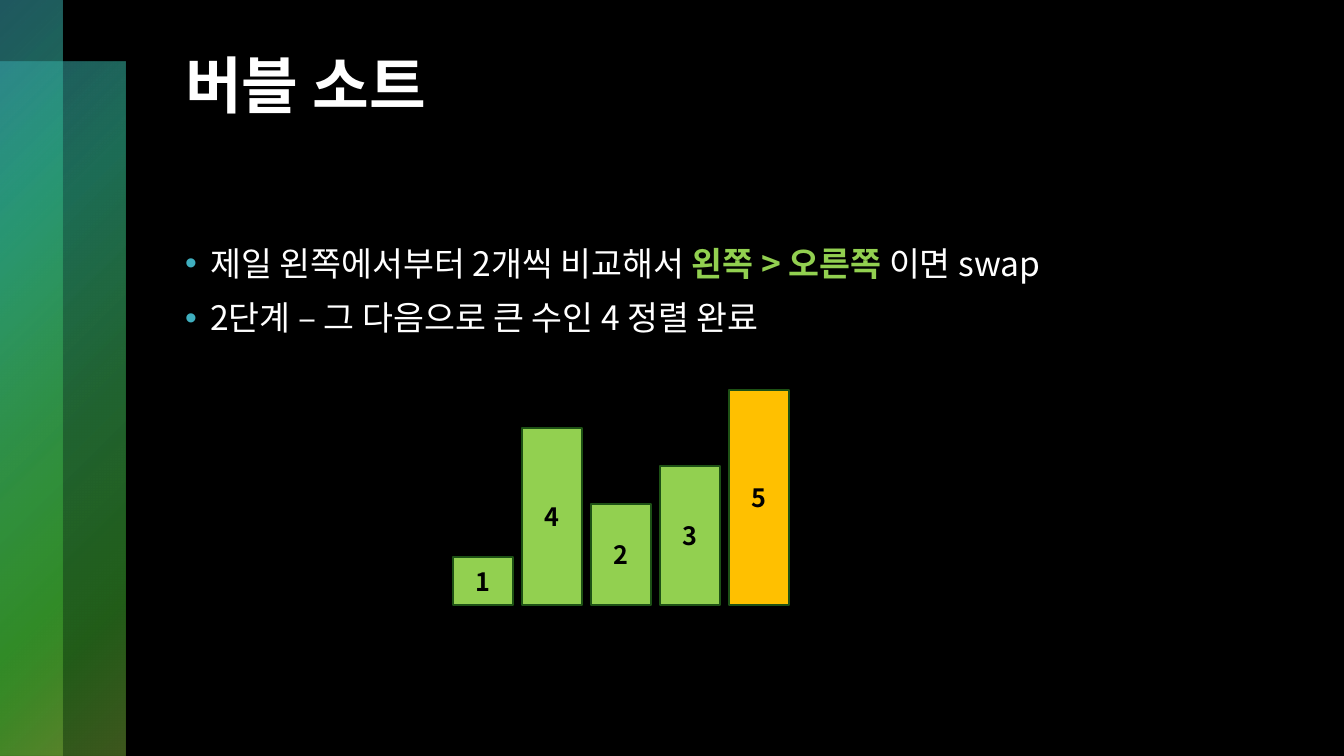
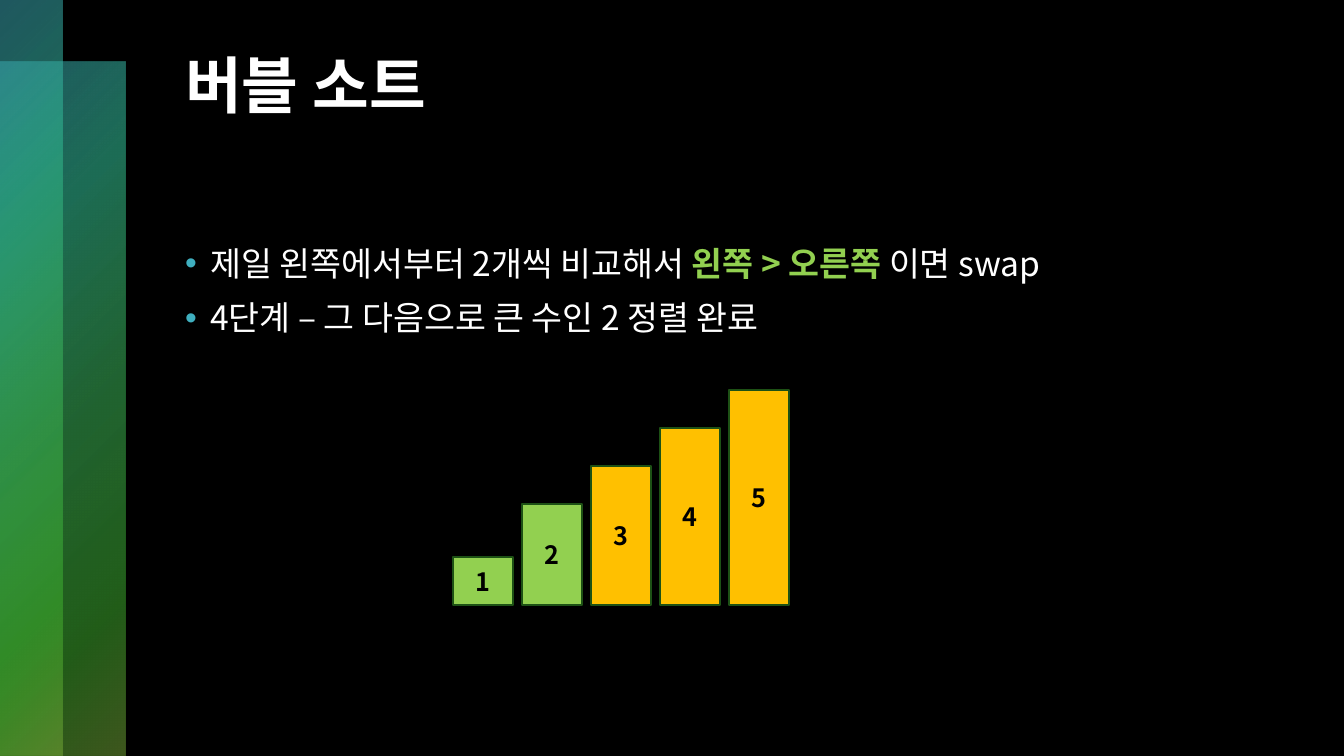
from dataclasses import dataclass

from lxml import etree
from pptx import Presentation
from pptx import util as u
from pptx.dml.color import RGBColor
from pptx.enum import shapes, text
from pptx.oxml import ns

EMU_PER_PX = 914400 / 100.8


@dataclass(frozen=True)
class Theme:
    font: str = "Noto Sans CJK KR"
    background: str = "000000"
    title: str = "FFFFFF"
    body: str = "FFFFFF"
    bullet: str = "3FAFBF"
    accent: str = "92D050"
    sorted_bar: str = "FFC000"
    bar_line: str = "1D5115"
    bar_text: str = "000000"
    title_size: int = 44
    body_size: int = 24
    bar_size: int = 18
    band_stops: tuple = (
        (0, "3FAFBF", 50),
        (25, "30B58E", 60),
        (50, "3CB65F", 55),
        (81, "43B931", 50),
        (99, "7AAF3A", 50),
    )


THEME = Theme()
SLIDE_SIZE = (1344, 756)
BANDS = ((0, 62, 125, 694), (0, 0, 63, 756))
TITLE_BOX = (175, 50, 1045, 171)
BODY_BOX = (175, 238, 1045, 432)
BARS_BOX = (453, 390, 336, 215)
BAR_WIDTH, BAR_GAP = 60, 9
BAR_HEIGHTS = {1: 48, 2: 101, 3: 139, 4: 177, 5: 215}

TITLE = "버블 소트"
RULE = (
    ("제일 왼쪽에서부터 2개씩 비교해서 ", False),
    ("왼쪽 > 오른쪽 ", True),
    ("이면 swap", False),
)
STEPS = (
    ("2단계 – 그 다음으로 큰 수인 4 정렬 완료", (1, 4, 2, 3, 5), 1),
    ("4단계 – 그 다음으로 큰 수인 2 정렬 완료", (1, 2, 3, 4, 5), 3),
)


def px(length):
    return u.Emu(round(length * EMU_PER_PX))


def rgb(color):
    return RGBColor.from_string(color)


def place(shape, box):
    shape.left, shape.top, shape.width, shape.height = map(px, box)


def add_rectangle(slide, box):
    shape = slide.shapes.add_shape(shapes.MSO_SHAPE.RECTANGLE, *map(px, box))
    shape.shadow.inherit = False
    return shape


def style(paragraph, size, color, bold=False):
    paragraph.font.name = THEME.font
    paragraph.font.size = u.Pt(size)
    paragraph.font.bold = bold
    paragraph.font.color.rgb = rgb(color)


def sub(parent, tag, **attributes):
    return etree.SubElement(parent, ns.qn(tag), attributes)


def band_gradient():
    gradient = etree.Element(ns.qn("a:gradFill"), rotWithShape="1")
    stops = sub(gradient, "a:gsLst")
    for position, color, alpha in THEME.band_stops:
        stop = sub(stops, "a:gs", pos=str(position * 1000))
        sub(sub(stop, "a:srgbClr", val=color), "a:alpha", val=str(alpha * 1000))
    sub(sub(gradient, "a:path", path="circle"), "a:fillToRect", r="100000", b="100000")
    return gradient


def set_up_master(presentation):
    master = presentation.slide_master
    master.background.fill.solid()
    master.background.fill.fore_color.rgb = rgb(THEME.background)
    for root in (master.element, presentation.element):
        for typeface in root.iter(ns.qn("a:latin"), ns.qn("a:ea")):
            typeface.set("typeface", THEME.font)


def move_bands_to_master(presentation, slide):
    tree = presentation.slide_master.shapes.element
    for index, box in enumerate(BANDS):
        band = add_rectangle(slide, box)
        band.name = f"Band {index + 1}"
        band.line.fill.background()
        band.fill.background()
        properties = band.element.spPr
        properties.replace(properties.find(ns.qn("a:noFill")), band_gradient())
        band.element.nvSpPr.cNvPr.set("id", str(20 + index))
        tree.insert(2 + index, band.element)


def fill_title(slide, box):
    title = slide.shapes.title
    place(title, box)
    frame = title.text_frame
    frame.auto_size = text.MSO_AUTO_SIZE.NONE
    frame.vertical_anchor = text.MSO_ANCHOR.TOP
    frame.text = TITLE
    paragraph = frame.paragraphs[0]
    paragraph.alignment = text.PP_ALIGN.LEFT
    paragraph.line_spacing = 0.9
    style(paragraph, THEME.title_size, THEME.title, bold=True)


def add_bullet(paragraph):
    properties = paragraph._p.get_or_add_pPr()
    indent = u.Inches(0.25)
    properties.set("marL", str(indent))
    properties.set("indent", str(-indent))
    sub(sub(properties, "a:buClr"), "a:srgbClr", val=THEME.bullet)
    sub(properties, "a:buFont", typeface="Arial")
    sub(properties, "a:buChar", char="•")


def fill_body(slide, box, step):
    body = slide.placeholders[1]
    place(body, box)
    frame = body.text_frame
    frame.auto_size = text.MSO_AUTO_SIZE.NONE
    for index, runs in enumerate((RULE, ((step, False),))):
        paragraph = frame.add_paragraph() if index else frame.paragraphs[0]
        paragraph.line_spacing = 1.0
        paragraph.space_before = u.Pt(10 if index else 0)
        add_bullet(paragraph)
        style(paragraph, THEME.body_size, THEME.body)
        for words, emphasized in runs:
            run = paragraph.add_run()
            run.text = words
            if emphasized:
                run.font.bold = True
                run.font.color.rgb = rgb(THEME.accent)


def add_bars(slide, box, values, sorted_count):
    left, top, _, height = box
    for index, value in enumerate(values):
        bar_height = BAR_HEIGHTS[value]
        bar_left = left + index * (BAR_WIDTH + BAR_GAP)
        bar = add_rectangle(
            slide, (bar_left, top + height - bar_height, BAR_WIDTH, bar_height)
        )
        bar.name = f"Bar {value}"
        is_sorted = index >= len(values) - sorted_count
        bar.fill.solid()
        bar.fill.fore_color.rgb = rgb(THEME.sorted_bar if is_sorted else THEME.accent)
        bar.line.color.rgb = rgb(THEME.bar_line)
        bar.line.width = u.Pt(1)
        frame = bar.text_frame
        frame.vertical_anchor = text.MSO_ANCHOR.MIDDLE
        frame.text = str(value)
        paragraph = frame.paragraphs[0]
        paragraph.alignment = text.PP_ALIGN.CENTER
        style(paragraph, THEME.bar_size, THEME.bar_text, bold=True)


def add_step_slide(presentation, step, values, sorted_count):
    slide = presentation.slides.add_slide(presentation.slide_layouts[1])
    fill_title(slide, TITLE_BOX)
    fill_body(slide, BODY_BOX, step)
    add_bars(slide, BARS_BOX, values, sorted_count)
    return slide


def main():
    presentation = Presentation()
    presentation.slide_width, presentation.slide_height = map(px, SLIDE_SIZE)
    set_up_master(presentation)
    slides = [add_step_slide(presentation, *step) for step in STEPS]
    move_bands_to_master(presentation, slides[0])
    presentation.save("out.pptx")


if __name__ == "__main__":
    main()
